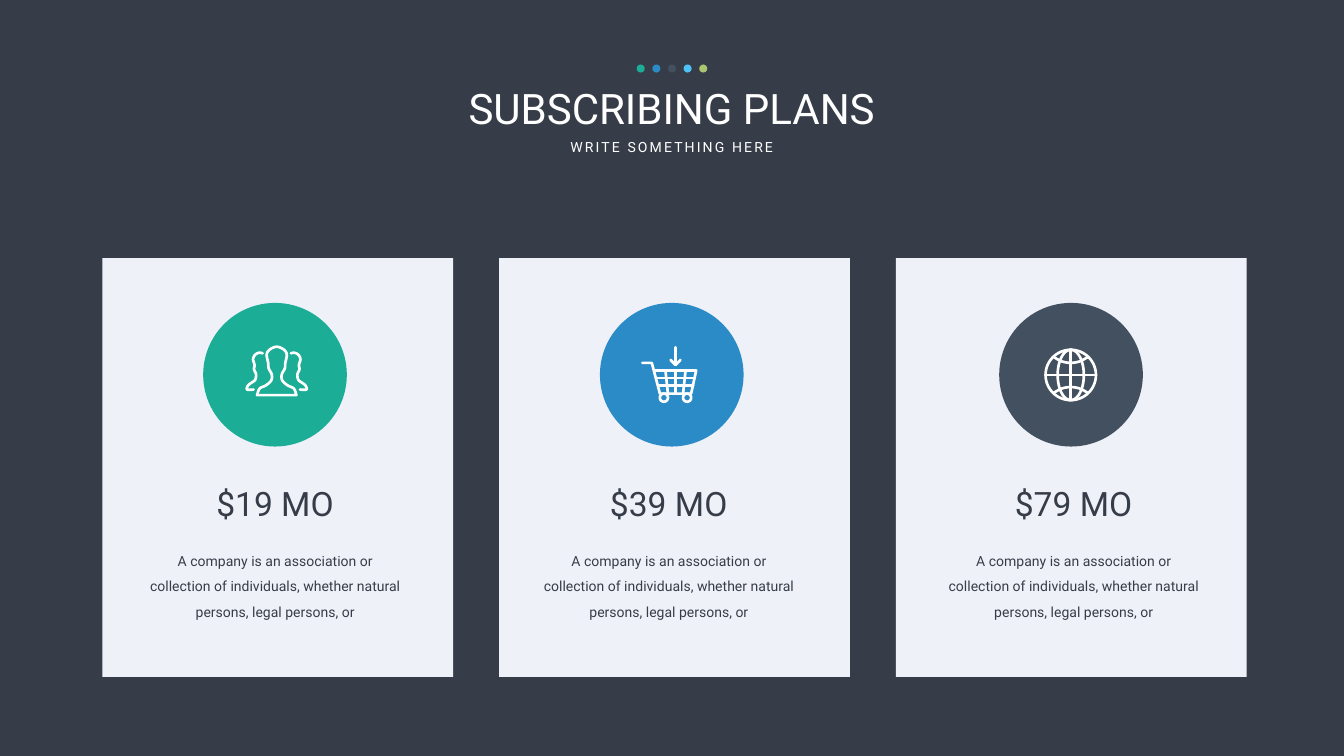
from math import cos, pi, sin

from pptx import Presentation
from pptx.dml.color import RGBColor
from pptx.enum.shapes import MSO_SHAPE
from pptx.enum.text import MSO_AUTO_SIZE, PP_ALIGN
from pptx.util import Inches, Pt

COLORS = {
    "ink": "363D48",
    "card": "EFF1F8",
    "white": "FFFFFF",
    "green": "1CAD97",
    "blue": "2B8BC7",
    "slate": "425060",
    "sky": "4EC2F4",
    "olive": "AAC46F",
}
FONT = "Roboto"

prs = Presentation()
prs.slide_width, prs.slide_height = Inches(26.66), Inches(15)
slide = prs.slides.add_slide(prs.slide_layouts[6])
slide.background.fill.solid()
slide.background.fill.fore_color.rgb = RGBColor.from_string(COLORS["ink"])


def add_text(text, left, top, width, height, size, color="ink", wrap=True,
             line_spacing=None, tracking=None):
    frame = slide.shapes.add_textbox(
        Inches(left), Inches(top), Inches(width), Inches(height)).text_frame
    frame.word_wrap = wrap
    frame.auto_size = MSO_AUTO_SIZE.SHAPE_TO_FIT_TEXT
    paragraph = frame.paragraphs[0]
    paragraph.alignment = PP_ALIGN.CENTER
    if line_spacing:
        paragraph.line_spacing = line_spacing
    run = paragraph.add_run()
    run.text = text
    run.font.name, run.font.size = FONT, Pt(size)
    run.font.color.rgb = RGBColor.from_string(COLORS[color])
    if tracking:
        run.font._element.set("spc", str(tracking * 100))


def bend(points):
    """Spline through the given points."""
    padded = [points[0], *points, points[-1]]
    curve = [points[0]]
    for a, b, c, d in zip(padded, padded[1:], padded[2:], padded[3:]):
        for t in (0.25, 0.5, 0.75, 1):
            curve.append(tuple(
                (2 * q + (r - p) * t + (2 * p - 5 * q + 4 * r - s) * t ** 2
                 + (3 * q - p - 3 * r + s) * t ** 3) / 2
                for p, q, r, s in zip(a, b, c, d)))
    return curve


# Heading
add_text("SUBSCRIBING PLANS", 7.7, 1.59, 11.25, 1.11, 60, color="white")
add_text("WRITE SOMETHING HERE", 11.15, 2.7, 4.35, 0.44, 20, color="white",
         wrap=False, tracking=3)

# Row of dots above the heading
dots = slide.shapes.add_group_shape()
for i, color in enumerate(("green", "blue", "slate", "sky", "olive")):
    dot = dots.shapes.add_shape(MSO_SHAPE.OVAL, Inches(12.63 + 0.31 * i),
                                Inches(1.28), Inches(0.16), Inches(0.16))
    dot.fill.solid()
    dot.fill.fore_color.rgb = RGBColor.from_string(COLORS[color])
    dot.line.fill.background()
    dot.shadow.inherit = False

# Plan cards: price, circle colour, circle left, price left
plans = [
    ("$19 MO", "green", 4.03, 2.97),
    ("$39 MO", "blue", 11.9, 10.78),
    ("$79 MO", "slate", 19.82, 18.81),
]
for i, (price, color, circle_left, price_left) in enumerate(plans):
    for kind, left, top, width, height, fill in (
            (MSO_SHAPE.RECTANGLE, 2.03 + 7.87 * i, 5.12, 6.96, 8.31, "card"),
            (MSO_SHAPE.OVAL, circle_left, 6.01, 2.85, 2.85, color)):
        panel = slide.shapes.add_shape(
            kind, Inches(left), Inches(top), Inches(width), Inches(height))
        panel.fill.solid()
        panel.fill.fore_color.rgb = RGBColor.from_string(COLORS[fill])
        panel.line.fill.background()
        panel.shadow.inherit = False
    add_text(price, price_left, 9.54, 4.97, 0.91, 48)
    add_text("A company is an association or collection of individuals, "
             "whether natural persons, legal persons, or",
             price_left - 0.17, 10.75, 5.32, 1.56, 20, line_spacing=1.5)

# People icon: each outline is mirrored about the middle
people_x = 5.49
front_half = [(0.39, 7.84), (0.34, 7.71), (0.22, 7.65), (0.11, 7.55),
              (0.1, 7.43), (0.16, 7.31), (0.17, 7.2), (0.2, 7.03),
              (0.13, 6.93), (0, 6.88)]
side_person = [(0.28, 7.01), (0.35, 7), (0.43, 7.04), (0.47, 7.13),
               (0.44, 7.24), (0.45, 7.33), (0.41, 7.43), (0.43, 7.54),
               (0.51, 7.6), (0.57, 7.65), (0.59, 7.73), (0.46, 7.73)]
front_person = bend([(people_x - dx, y) for dx, y in front_half]
                    + [(people_x + dx, y) for dx, y in front_half[-2::-1]])
people = [front_person + front_person[:1]]
for side in (-1, 1):
    people.append(bend([(people_x + side * dx, y) for dx, y in side_person]))

# Cart icon: basket, grid, arrow
cart = [
    [(12.74, 7.2), (12.93, 7.2), (13.09, 7.81), (13.71, 7.81),
     (13.81, 7.35), (12.98, 7.35)],
    [(13.02, 7.5), (13.78, 7.5)],
    [(13.06, 7.65), (13.75, 7.65)],
    [(13.2, 7.35), (13.25, 7.81)],
    [(13.4, 7.35), (13.4, 7.81)],
    [(13.6, 7.35), (13.55, 7.81)],
    [(13.4, 6.89), (13.4, 7.24)],
    [(13.3, 7.14), (13.4, 7.24), (13.5, 7.14)],
]

# Globe icon: axes and parallels
globe_x, globe_y, globe_r = 21.24, 7.44, 0.5
globe = [
    [(globe_x - globe_r, globe_y), (globe_x + globe_r, globe_y)],
    [(globe_x, globe_y - globe_r), (globe_x, globe_y + globe_r)],
]
for side in (-1, 1):
    globe.append(bend([(globe_x + dx, globe_y + side * dy) for dx, dy in (
        (-0.33, 0.35), (-0.18, 0.27), (0, 0.24), (0.18, 0.27), (0.33, 0.35))]))

# Rings: cart wheels, globe rim and meridian
for icon, x, y, rx, ry in (
        (cart, 13.17, 7.89, 0.08, 0.08),
        (cart, 13.63, 7.89, 0.08, 0.08),
        (globe, globe_x, globe_y, globe_r, globe_r),
        (globe, globe_x, globe_y, 0.26, globe_r)):
    icon.append([(x + rx * cos(pi * k / 32), y + ry * sin(pi * k / 32))
                 for k in range(65)])

# Draw each icon as one outline of several strokes
for icon in (people, globe, cart):
    pen = slide.shapes.build_freeform(
        Inches(icon[0][0][0]), Inches(icon[0][0][1]), scale=1.0)
    for n, stroke in enumerate(icon):
        corners = [(Inches(x), Inches(y)) for x, y in stroke]
        if n:
            pen.move_to(*corners[0])
        pen.add_line_segments(corners[1:], close=corners[0] == corners[-1])
    drawing = pen.convert_to_shape()
    drawing.fill.background()
    drawing.line.color.rgb = RGBColor.from_string(COLORS["white"])
    drawing.line.width = Pt(3.8)
    drawing.line._get_or_add_ln().set("cap", "rnd")
    drawing.shadow.inherit = False

prs.save("out.pptx")
